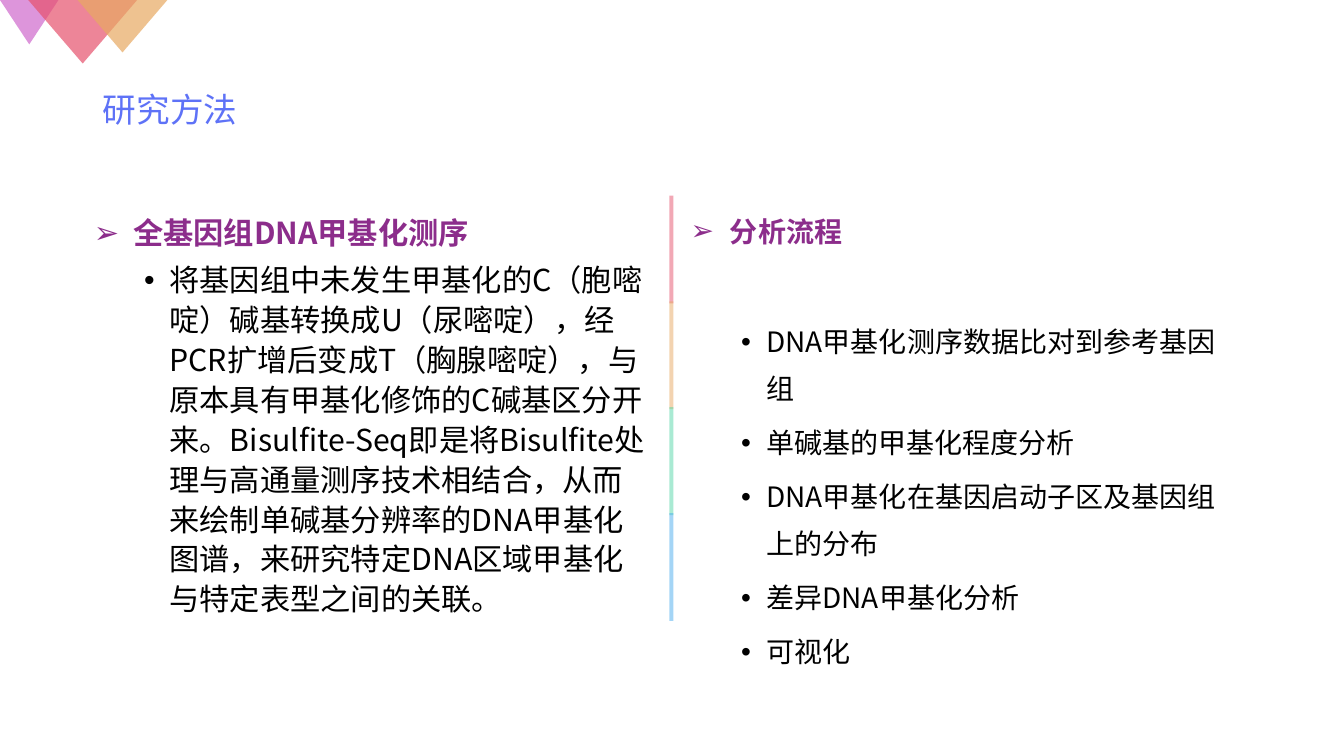
import pptx
import pptx.util
import pptx.dml.color
import pptx.enum.shapes
import pptx.enum.text
import pptx.oxml
import pptx.oxml.ns

Inches = pptx.util.Inches
Pt = pptx.util.Pt
SHAPES = pptx.enum.shapes.MSO_SHAPE
ALIGN_LEFT = pptx.enum.text.PP_ALIGN.LEFT

theme = {
    "title": {"name": "Arial", "size": Pt(24), "bold": False, "color": "5E72F7"},
    "left heading": {"name": "Noto Sans CJK SC", "size": Pt(21.6), "bold": True, "color": "8C2D8B"},
    "left item": {"name": "Noto Sans CJK SC", "size": Pt(21.6), "bold": False, "color": "000000"},
    "right heading": {"name": "Noto Sans CJK SC", "size": Pt(20), "bold": True, "color": "8C2D8B"},
    "right item": {"name": "Noto Sans CJK SC", "size": Pt(20), "bold": False, "color": "000000"},
    "violet": "CF68CD",
    "rose": "E6526D",
    "amber": "E8A962",
    "mint": "54D6A8",
    "sky": "4AADEE",
}
bullets = {"heading": ("➢", 0.39, 0.39), "item": ("•", 0.75, 0.25)}


def write_span(para, text, style):
    span = para.add_run()
    span.text = text
    for key, value in theme[style].items():
        if key == "color":
            span.font.color.rgb = pptx.dml.color.RGBColor.from_string(value)
        else:
            setattr(span.font, key, value)
    east_asian = pptx.oxml.parse_xml(
        f'<a:ea {pptx.oxml.ns.nsdecls("a")} typeface="Noto Sans CJK SC"/>')
    span.font._element.find(pptx.oxml.ns.qn("a:latin")).addnext(east_asian)


def add_tinted(shape_type, left, top, width, height, color, opacity):
    shape = slide.shapes.add_shape(
        shape_type, Inches(left), Inches(top), Inches(width), Inches(height))
    shape.shadow.inherit = False
    shape.line.fill.background()
    shape.fill.solid()
    shape.fill.fore_color.rgb = pptx.dml.color.RGBColor.from_string(theme[color])
    tint = shape._element.spPr.find(".//" + pptx.oxml.ns.qn("a:srgbClr"))
    tint.append(pptx.oxml.parse_xml(
        f'<a:alpha {pptx.oxml.ns.nsdecls("a")} val="{opacity * 1000}"/>'))
    return shape


deck = pptx.Presentation()
deck.slide_width = Inches(13.33)
deck.slide_height = Inches(7.5)
slide = deck.slides.add_slide(deck.slide_layouts.get_by_name("Two Content"))
title, left_body, right_body = slide.placeholders

for box, left, top, width, height in [
    (title, 0.92, 0.64, 11.5, 0.94),
    (left_body, 0.83, 2.08, 5.67, 4.25),
    (right_body, 6.75, 1.94, 5.67, 4.76),
]:
    placement = {"left": left, "top": top, "width": width, "height": height}
    for key, value in placement.items():
        setattr(box, key, Inches(value))
    frame_format = {
        "word_wrap": True,
        "auto_size": pptx.enum.text.MSO_AUTO_SIZE.NONE,
        "vertical_anchor": pptx.enum.text.MSO_ANCHOR.TOP,
    }
    for key, value in frame_format.items():
        setattr(box.text_frame, key, value)

title.text_frame.vertical_anchor = pptx.enum.text.MSO_ANCHOR.MIDDLE
title_para = title.text_frame.paragraphs[0]
title_para.alignment = ALIGN_LEFT
title_para.line_spacing = 0.9
write_span(title_para, "研究方法", "title")

columns = [
    (left_body, "left", 1.0, 1.1, 5, "全基因组DNA甲基化测序", [
        "将基因组中未发生甲基化的C（胞嘧啶）碱基转换成U（尿嘧啶），"
        "经PCR扩增后变成T（胸腺嘧啶），与原本具有甲基化修饰的C碱基区分开来。"
        "Bisulfite-Seq即是将Bisulfite处理与高通量测序技术相结合，"
        "从而来绘制单碱基分辨率的DNA甲基化图谱，"
        "来研究特定DNA区域甲基化与特定表型之间的关联。",
    ]),
    (right_body, "right", 1.4, 1.4, 45.5, "分析流程", [
        "DNA甲基化测序数据比对到参考基因组",
        "单碱基的甲基化程度分析",
        "DNA甲基化在基因启动子区及基因组上的分布",
        "差异DNA甲基化分析",
        "可视化",
    ]),
]
for body, side, heading_spacing, item_spacing, first_gap, heading, items in columns:
    for index, text in enumerate([heading] + items):
        role = "item" if index else "heading"
        gap = (0, first_gap)[index] if index < 2 else 5
        para = body.text_frame.add_paragraph() if index else body.text_frame.paragraphs[0]
        para_format = {
            "level": min(index, 1),
            "alignment": ALIGN_LEFT,
            "line_spacing": item_spacing if index else heading_spacing,
            "space_before": Pt(gap),
            "space_after": Pt(0),
        }
        for key, value in para_format.items():
            setattr(para, key, value)
        mark, margin, hanging = bullets[role]
        properties = para._p.get_or_add_pPr()
        properties.set("marL", str(Inches(margin)))
        properties.set("indent", str(-Inches(hanging)))
        for tag in ('buFont typeface="Arial"', f'buChar char="{mark}"'):
            name, attribute = tag.split(" ")
            properties.append(pptx.oxml.parse_xml(
                f'<a:{name} {pptx.oxml.ns.nsdecls("a")} {attribute}/>'))
        write_span(para, text, f"{side} {role}")

for left, width, height, color in [
    (0, 0.58, 0.44, "violet"),
    (0.28, 1.08, 0.63, "rose"),
    (0.77, 0.89, 0.52, "amber"),
]:
    triangle = add_tinted(SHAPES.ISOSCELES_TRIANGLE, left, 0, width, height, color, 70)
    triangle.rotation = 180

for index, color in enumerate(["rose", "amber", "mint", "sky"]):
    add_tinted(SHAPES.RECTANGLE, 6.64, 1.94 + 1.05 * index, 0.04, 1.07, color, 50)

deck.save("out.pptx")
